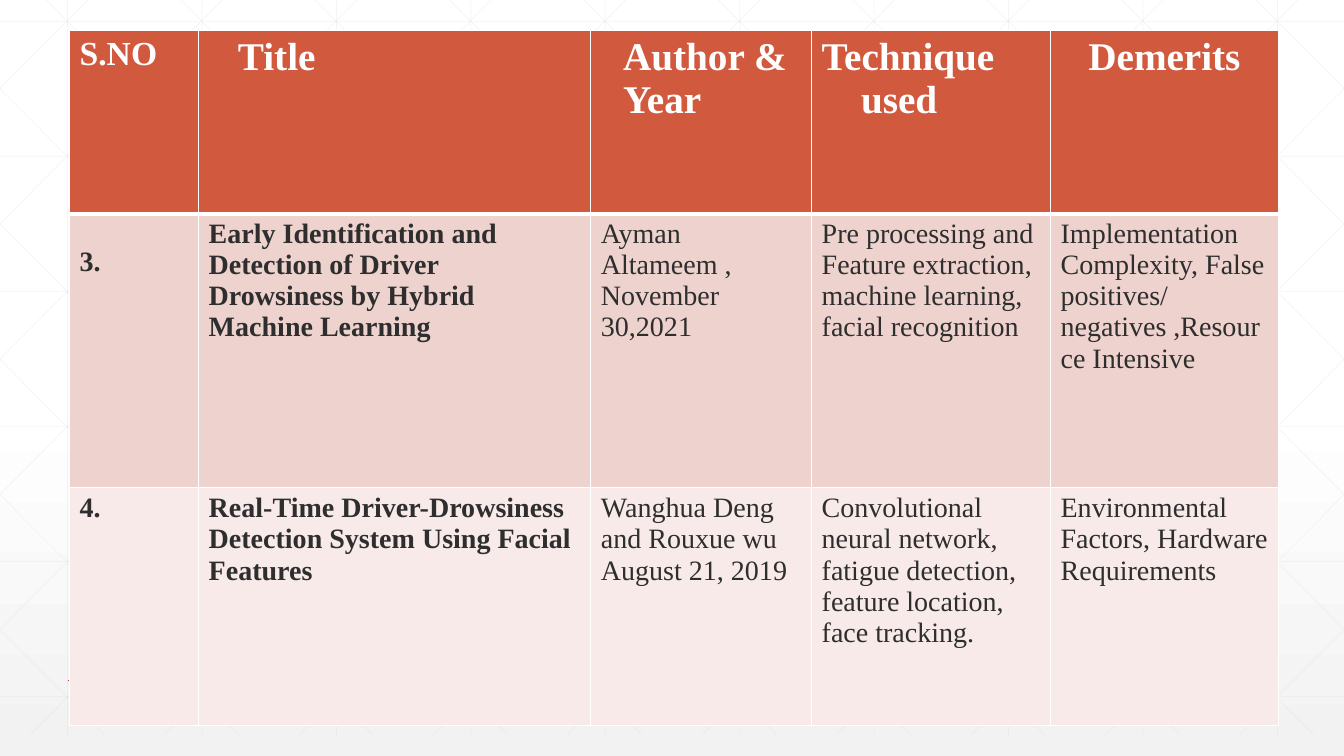
from lxml.etree import SubElement
from pptx import Presentation
from pptx.dml.color import RGBColor
from pptx.enum.shapes import MSO_CONNECTOR
from pptx.enum.text import PP_ALIGN
from pptx.oxml import parse_xml
from pptx.oxml.ns import nsdecls, qn
from pptx.util import Inches, Pt

COLORS = {
    "white": "FFFFFF",
    "mist": "F2F2F2",
    "grid": "D9D9D9",
    "rule": "A43F27",
    "header": "D15A3E",
    "odd": "EED2CE",
    "even": "F7EAE8",
    "ink": "2D2E2D",
}
WIDTH, HEIGHT = 13.33, 7.5
GRID_TOP, GRID_BOTTOM = -0.21, 7.29
GRID_STEP = 4 / 3
DIAGONAL_RUN = 7.45


def color(name):
    return RGBColor.from_string(COLORS[name])


def draw_line(x1, y1, x2, y2, name, width, opacity=None):
    line = page.shapes.add_connector(
        MSO_CONNECTOR.STRAIGHT, Inches(x1), Inches(y1), Inches(x2), Inches(y2)
    )
    line.line.color.rgb = color(name)
    line.line.width = Pt(width)
    properties = line._element.spPr
    if opacity:
        paint = properties.find(".//" + qn("a:srgbClr"))
        SubElement(paint, qn("a:alpha"), val=str(opacity * 1000))
    SubElement(properties, qn("a:effectLst"))


deck = Presentation()
deck.slide_width = Inches(WIDTH)
deck.slide_height = Inches(HEIGHT)
page = deck.slides.add_slide(deck.slide_layouts[6])

backdrop = page.background.fill
backdrop.gradient()
backdrop.gradient_angle = 270
for stop, (position, name) in zip(backdrop.gradient_stops, [(0.53, "white"), (1, "mist")]):
    stop.position = position
    stop.color.rgb = color(name)

grid_lines = []
for index in range(10):
    x = 0.67 + index * GRID_STEP
    grid_lines.append((x, GRID_TOP, x, GRID_BOTTOM))
for index in range(6):
    y = 0.21 + index * 1.34
    grid_lines.append((0, y, WIDTH, y))
slope = (GRID_BOTTOM - GRID_TOP) / DIAGONAL_RUN
for index in range(-5, 10):
    start = 0.25 + index * GRID_STEP
    left = max(0, start)
    right = min(WIDTH, start + DIAGONAL_RUN)
    top = GRID_TOP + (left - start) * slope
    bottom = GRID_TOP + (right - start) * slope
    grid_lines.append((left, top, right, bottom))
    grid_lines.append((WIDTH - left, top, WIDTH - right, bottom))
for ends in grid_lines:
    draw_line(*ends, "grid", 0.5, opacity=25)
draw_line(0.67, 6.75, 12.67, 6.75, "rule", 1)

column_widths = [1.28, 3.89, 2.19, 2.37, 2.26]
row_heights = [1.82, 2.72, 2.36]
row_fills = ["header", "odd", "even"]
rows = [
    ["S.NO", "Title", "Author & Year", "Technique\nused", "Demerits"],
    [
        "3.",
        "Early Identification and Detection of Driver Drowsiness by Hybrid Machine Learning",
        "Ayman Altameem , November 30,2021",
        "Pre processing and Feature extraction, machine learning, facial recognition",
        "Implementation Complexity, False positives/\nnegatives ,Resource Intensive",
    ],
    [
        "4.",
        "Real-Time Driver-Drowsiness Detection System Using Facial Features",
        "Wanghua Deng and Rouxue wu\nAugust 21, 2019",
        "Convolutional neural network, fatigue detection, feature location, face tracking.",
        "Environmental Factors, Hardware Requirements",
    ],
]
header_indents = {"Title": 0.29, "Author & Year": 0.22, "used": 0.39}

table = page.shapes.add_table(
    len(rows), len(column_widths), Inches(0.69), Inches(0.3), Inches(11.98), Inches(6.89)
).table
for column, width in zip(table.columns, column_widths):
    column.width = Inches(width)
for row, height in zip(table.rows, row_heights):
    row.height = Inches(height)

for row_index, texts in enumerate(rows):
    is_header = row_index == 0
    for column_index, text in enumerate(texts):
        cell = table.cell(row_index, column_index)
        cell.text = text
        cell.fill.solid()
        cell.fill.fore_color.rgb = color(row_fills[row_index])
        widths = {"L": 1, "R": 1, "T": 3 if row_index == 1 else 1, "B": 3 if is_header else 1}
        for order, (side, width) in enumerate(widths.items()):
            border = parse_xml(
                f'<a:ln{side} {nsdecls("a")} w="{Pt(width)}"><a:solidFill>'
                f'<a:srgbClr val="{COLORS["white"]}"/></a:solidFill></a:ln{side}>'
            )
            cell._tc.tcPr.insert(order, border)
        for para in cell.text_frame.paragraphs:
            font = para.font
            font.name = "Times New Roman"
            font.bold = is_header or column_index < 2
            font.color.rgb = color("white" if is_header else "ink")
            font.size = Pt(20)
            if is_header:
                font.size = Pt(24 if column_index == 0 else 28)
            if para.text in header_indents:
                indent = Inches(header_indents[para.text])
                para._p.get_or_add_pPr().set("marL", str(indent))

table.cell(0, 4).text_frame.paragraphs[0].alignment = PP_ALIGN.CENTER
table.cell(1, 0).margin_top = Inches(0.33)

deck.save("out.pptx")
